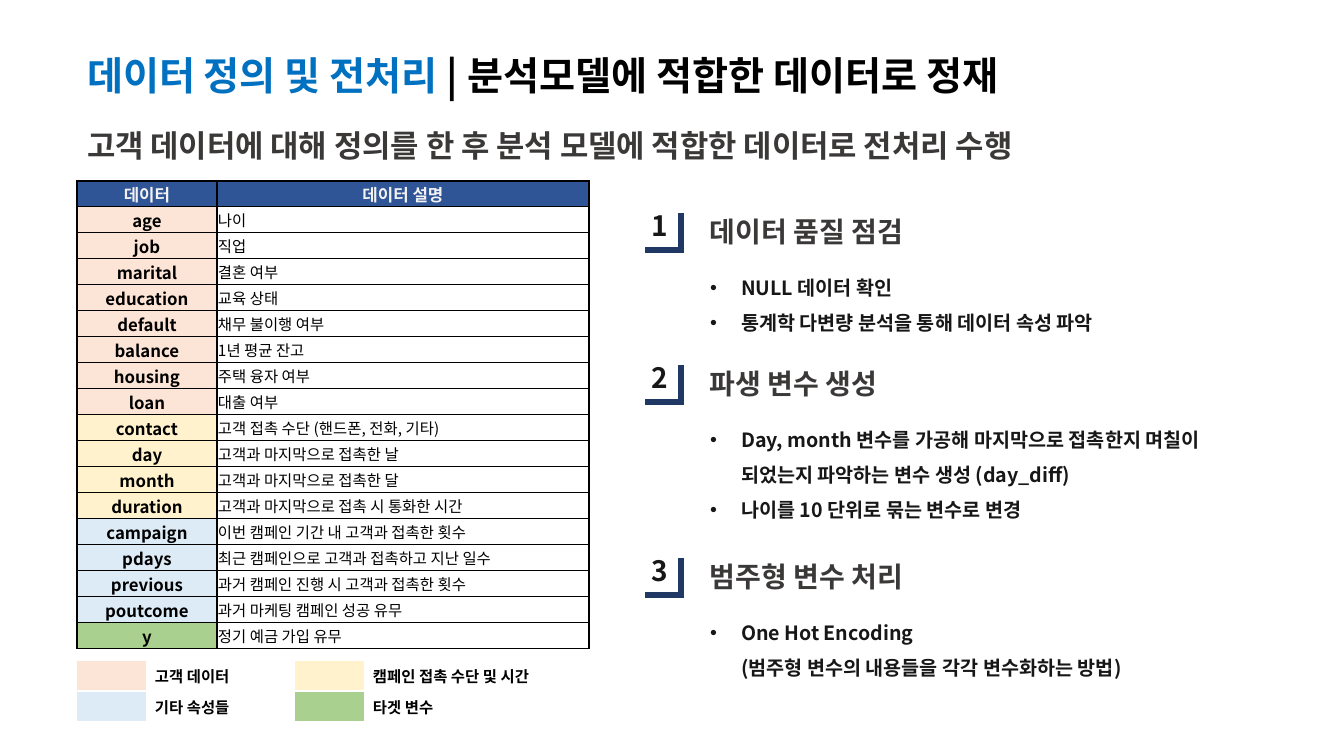
from lxml import etree
from pptx import Presentation
from pptx import util as u
from pptx.dml.color import RGBColor
from pptx.enum import shapes, text
from pptx.oxml.ns import qn

EMU_PER_PX = 914400 / 100.8
FONT = "Noto Sans CJK KR"
BLACK, CHARCOAL, INK = "000000", "3B3838", "181717"
BLUE, NAVY, HEADER_BLUE, HEADER_TEXT = "0070C0", "203864", "2F5597", "F2F2F2"
PEACH, YELLOW, SKY, GREEN = "FCE4D6", "FFF2CC", "DDEBF7", "A9D08E"
NO_STYLE = "{2D5ABB26-0587-4C30-8999-92F81FD0307C}"

FIELDS = [
    (PEACH, [("age", "나이"), ("job", "직업"), ("marital", "결혼 여부"),
             ("education", "교육 상태"), ("default", "채무 불이행 여부"),
             ("balance", "1년 평균 잔고"), ("housing", "주택 융자 여부"),
             ("loan", "대출 여부")]),
    (YELLOW, [("contact", "고객 접촉 수단 (핸드폰, 전화, 기타)"),
              ("day", "고객과 마지막으로 접촉한 날"),
              ("month", "고객과 마지막으로 접촉한 달"),
              ("duration", "고객과 마지막으로 접촉 시 통화한 시간")]),
    (SKY, [("campaign", "이번 캠페인 기간 내 고객과 접촉한 횟수"),
           ("pdays", "최근 캠페인으로 고객과 접촉하고 지난 일수"),
           ("previous", "과거 캠페인 진행 시 고객과 접촉한 횟수"),
           ("poutcome", "과거 마케팅 캠페인 성공 유무")]),
    (GREEN, [("y", "정기 예금 가입 유무")]),
]
LEGEND = [[(PEACH, "고객 데이터"), (YELLOW, "캠페인 접촉 수단 및 시간")],
          [(SKY, "기타 속성들"), (GREEN, "타겟 변수")]]
STEPS = [
    (210, "데이터 품질 점검",
     ["NULL 데이터 확인", "통계학 다변량 분석을 통해 데이터 속성 파악"]),
    (362, "파생 변수 생성",
     ["Day, month 변수를 가공해 마지막으로 접촉한지 며칠이\n"
      "되었는지 파악하는 변수 생성 (day_diff)",
      "나이를 10 단위로 묶는 변수로 변경"]),
    (555, "범주형 변수 처리",
     ["One Hot Encoding\n(범주형 변수의 내용들을 각각 변수화하는 방법)"]),
]


def px(n):
    return u.Emu(round(n * EMU_PER_PX))


def colour(hex_string):
    return RGBColor.from_string(hex_string)


def write(frame, paragraphs, size, ink=BLACK, bold=True, align="LEFT",
          bullet=False, spacing=1.0):
    """Each paragraph is a string or a list of (string, colour) runs."""
    for i, content in enumerate(paragraphs):
        para = frame.paragraphs[0] if i == 0 else frame.add_paragraph()
        para.alignment = getattr(text.PP_ALIGN, align)
        para.line_spacing, para.space_before = spacing, u.Pt(0)
        p_pr = para._p.get_or_add_pPr()
        indent = px(31) if bullet else 0
        p_pr.set("marL", str(indent))
        p_pr.set("indent", str(-indent))
        if bullet:
            etree.SubElement(p_pr, qn("a:buChar")).set("char", "•")
        else:
            etree.SubElement(p_pr, qn("a:buNone"))
        for words, run_ink in [(content, ink)] if isinstance(content, str) else content:
            for n, line in enumerate(words.split("\n")):
                if n:
                    para.add_line_break()
                run = para.add_run()
                run.text = line
                run.font.size, run.font.bold = u.Pt(size), bold
                run.font.color.rgb = colour(run_ink)
                run.font.name = FONT
                east_asian = etree.SubElement(run._r.get_or_add_rPr(), qn("a:ea"))
                east_asian.set("typeface", FONT)


def write_box(holder, box, paragraphs, **fmt):
    holder.left, holder.top, holder.width, holder.height = map(px, box)
    frame = holder.text_frame
    frame.word_wrap = True
    frame.auto_size = text.MSO_AUTO_SIZE.NONE
    frame.vertical_anchor = text.MSO_ANCHOR.TOP
    write(frame, paragraphs, **fmt)


def text_box(slide, box, paragraphs, **fmt):
    write_box(slide.shapes.add_textbox(0, 0, 0, 0), box, paragraphs, **fmt)


def plain_table(slide, x, y, widths, heights):
    table = slide.shapes.add_table(len(heights), len(widths), px(x), px(y),
                                   px(sum(widths)), px(sum(heights))).table
    table.first_row = table.horz_banding = False
    table._tbl.tblPr.find(qn("a:tableStyleId")).text = NO_STYLE
    for column, width in zip(table.columns, widths):
        column.width = px(width)
    for row, height in zip(table.rows, heights):
        row.height = px(height)
    return table


def fill_cell(cell, words, fill=None, border=False, inset=1, **fmt):
    cell.margin_left, cell.margin_right = px(inset), px(1)
    cell.margin_top, cell.margin_bottom = px(1), 0
    cell.vertical_anchor = text.MSO_ANCHOR.MIDDLE
    if fill:
        cell.fill.solid()
        cell.fill.fore_color.rgb = colour(fill)
    else:
        cell.fill.background()
    if border:
        tc_pr = cell._tc.get_or_add_tcPr()
        for i, side in enumerate(("a:lnL", "a:lnR", "a:lnT", "a:lnB")):
            edge = etree.Element(qn(side), w=str(u.Pt(1)))
            solid = etree.SubElement(edge, qn("a:solidFill"))
            etree.SubElement(solid, qn("a:srgbClr")).set("val", BLACK)
            tc_pr.insert(i, edge)
    write(cell.text_frame, [words], **fmt)


def line(slide, x1, y1, x2, y2):
    stroke = slide.shapes.add_connector(shapes.MSO_CONNECTOR.STRAIGHT,
                                        px(x1), px(y1), px(x2), px(y2))
    stroke.line.color.rgb = colour(NAVY)
    stroke.line.width = u.Pt(4.5)
    etree.SubElement(stroke._element.spPr, qn("a:effectLst"))


def headings(title, subtitle, x, y):
    write_box(title, (x, y, 1069, 57),
              [[("데이터 정의 및 전처리 ", BLUE),
                ("| 분석모델에 적합한 데이터로 정재", BLACK)]], size=28)
    write_box(subtitle, (x, y + 76, 1085, 47),
              ["고객 데이터에 대해 정의를 한 후 분석 모델에 적합한 데이터로 전처리 수행"],
              size=22, ink=CHARCOAL)


def field_table(slide, x, y):
    rows = [(fill, *field) for fill, fields in FIELDS for field in fields]
    table = plain_table(slide, x, y, [140, 372], [22] + [26] * len(rows))
    for c, label in enumerate(("데이터", "데이터 설명")):
        fill_cell(table.cell(0, c), label, HEADER_BLUE, border=True,
                  size=12, ink=HEADER_TEXT, align="CENTER")
    for r, (fill, name, meaning) in enumerate(rows, 1):
        fill_cell(table.cell(r, 0), name, fill, border=True, size=12, align="CENTER")
        fill_cell(table.cell(r, 1), meaning, border=True, size=11, bold=False)


def legend(slide, x, y):
    for r, entries in enumerate(LEGEND):
        for c, (fill, label) in enumerate(entries):
            key = plain_table(slide, x + 218 * c, y + 31 * r, [69, 190], [24])
            fill_cell(key.cell(0, 0), "", fill, size=11)
            fill_cell(key.cell(0, 1), label, inset=9, size=11)


def step(slide, bullets, x, y, number, heading, points):
    # Number in its corner bracket
    text_box(slide, (x, y - 6, 36, 44), [str(number)], size=20, ink=INK)
    line(slide, x + 41, y + 40, x + 3, y + 40)
    line(slide, x + 39, y + 3, x + 39, y + 43)
    # Heading and its points
    text_box(slide, (x + 58, y, 300, 44), [heading], size=20, ink=CHARCOAL)
    write_box(bullets, (x + 58, y + 49, 560, 40 + 36 * len(points)), points,
              size=14, ink=INK, bullet=True, spacing=1.5)


deck = Presentation()
deck.slide_width, deck.slide_height = px(1344), px(756)
slide = deck.slides.add_slide(deck.slide_layouts.get_by_name("Comparison"))
title, subtitle, *point_lists = slide.placeholders

headings(title, subtitle, 77, 46)
field_table(slide, 77, 181)
legend(slide, 77, 661)
for number, (bullets, (top, heading, points)) in enumerate(zip(point_lists, STEPS), 1):
    step(slide, bullets, 642, top, number, heading, points)

deck.save("out.pptx")
